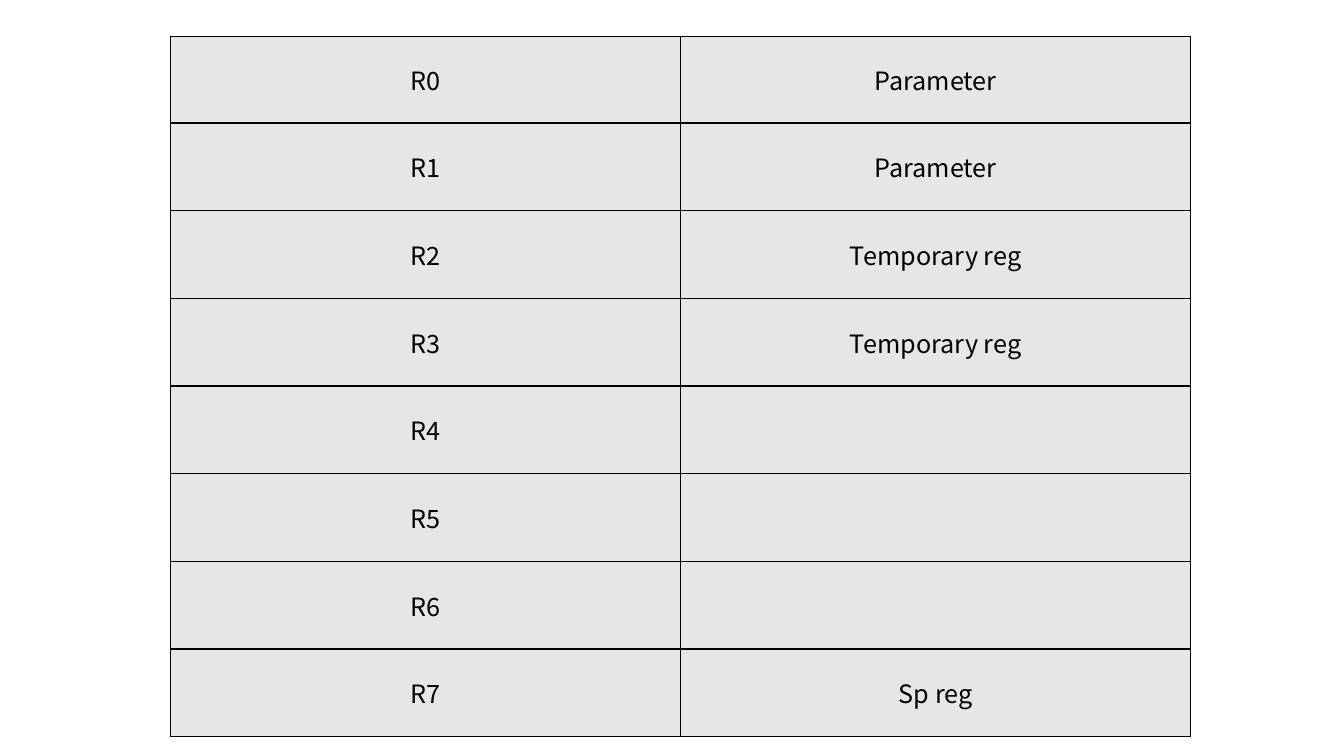
from lxml import etree
from pptx import Presentation
from pptx.dml.color import RGBColor
from pptx.enum.text import MSO_ANCHOR, PP_ALIGN
from pptx.oxml.ns import qn
from pptx.util import Inches, Pt

CENTER = PP_ALIGN.CENTER
MIDDLE = MSO_ANCHOR.MIDDLE
FONT = "Noto Sans CJK KR"
BLACK, GREY = "000000", "E7E6E6"


def rgb(value):
    return RGBColor.from_string(value)


def add_borders(cell, color, width):
    tc_pr = cell._tc.get_or_add_tcPr()
    for side in ("lnL", "lnR", "lnT", "lnB"):
        line = etree.SubElement(tc_pr, qn(f"a:{side}"), w=str(Pt(width)))
        fill = etree.SubElement(line, qn("a:solidFill"))
        etree.SubElement(fill, qn("a:srgbClr"), val=color)


prs = Presentation()
prs.slide_width, prs.slide_height = Inches(13.33), Inches(7.5)
s = prs.slides.add_slide(prs.slide_layouts[6])

# Register table: R0 to R7 and their uses
uses = ["Parameter", "Parameter", "Temporary reg", "Temporary reg", "", "", "", "Sp reg"]
table = s.shapes.add_table(len(uses), 2, Inches(1.69), Inches(0.36),
                           Inches(10.12), Inches(6.93)).table
table.first_row = table.horz_banding = False

for number, use in enumerate(uses):
    table.rows[number].height = Inches(0.87 if number else 0.86)
    for cell, text in zip(table.rows[number].cells, (f"R{number}", use)):
        add_borders(cell, BLACK, 1)
        cell.fill.solid()
        cell.fill.fore_color.rgb = rgb(GREY)
        cell.vertical_anchor = MIDDLE
        cell.text = text
        p = cell.text_frame.paragraphs[0]
        p.alignment = CENTER
        p.font.name, p.font.size = FONT, Pt(18)
        p.font.color.rgb = rgb(BLACK)

prs.save("out.pptx")
